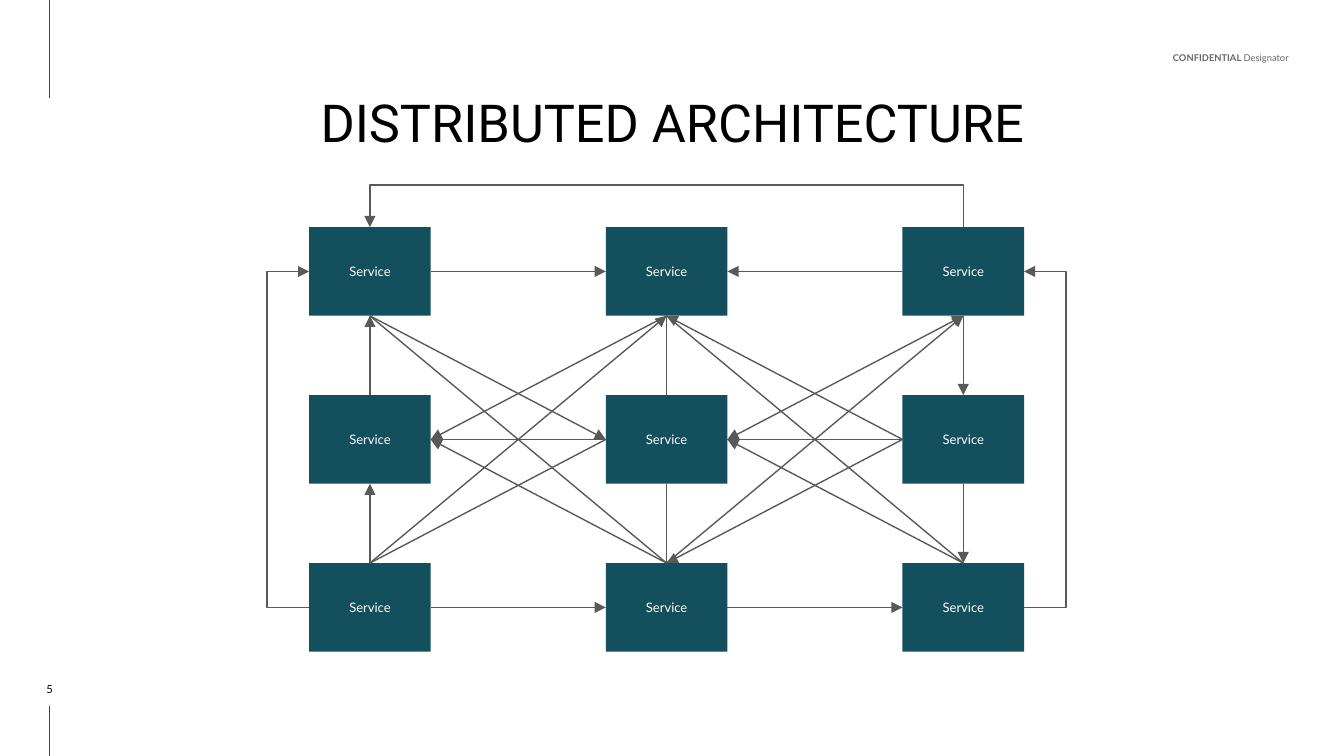
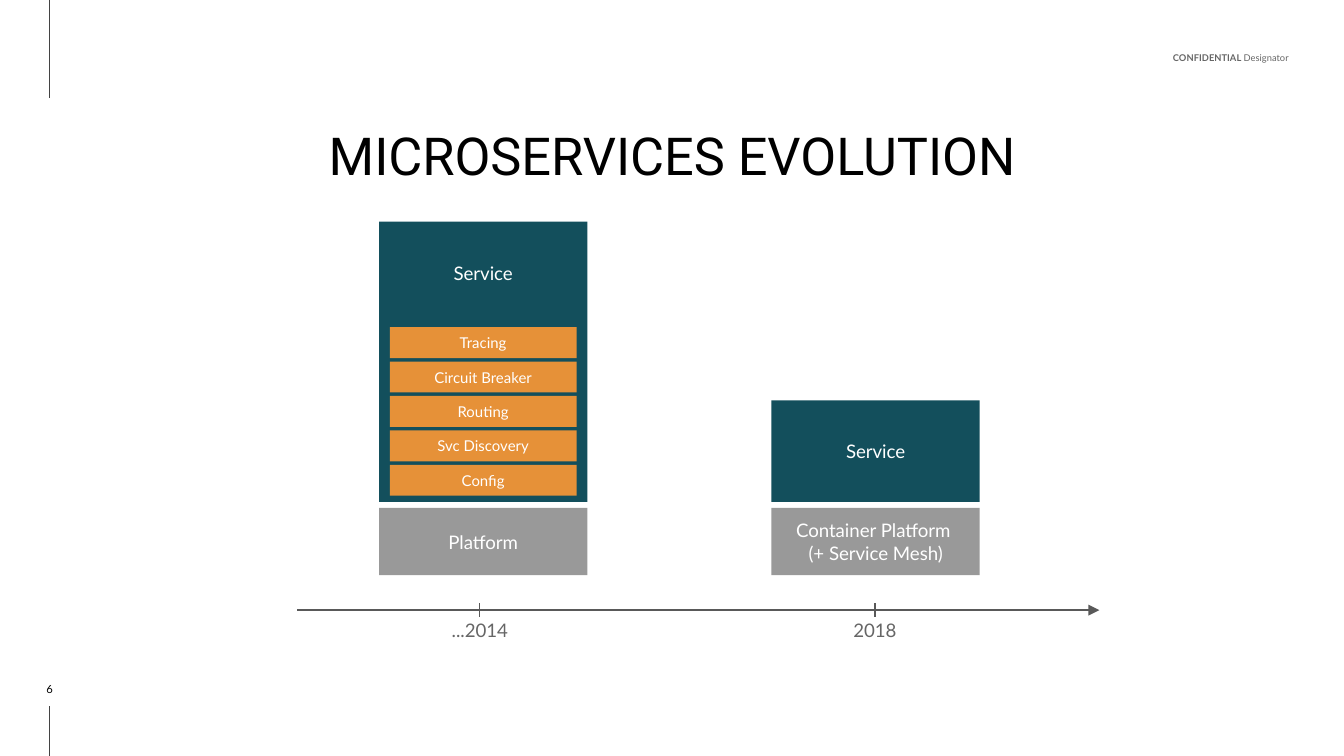
import collections

import lxml.etree
import pptx
import pptx.dml.color
import pptx.enum.shapes
import pptx.enum.text
import pptx.oxml.ns
import pptx.util

TEAL = pptx.dml.color.RGBColor(0x13, 0x4F, 0x5C)
ORANGE = pptx.dml.color.RGBColor(0xE6, 0x91, 0x38)
GRAY = pptx.dml.color.RGBColor(0x99, 0x99, 0x99)
LINE_GRAY = pptx.dml.color.RGBColor(0x59, 0x59, 0x59)
MARGIN_GRAY = pptx.dml.color.RGBColor(0x43, 0x43, 0x43)
TEXT_GRAY = pptx.dml.color.RGBColor(0x66, 0x66, 0x66)
BLACK = pptx.dml.color.RGBColor(0, 0, 0)
WHITE = pptx.dml.color.RGBColor(0xFF, 0xFF, 0xFF)

BODY_FONT = "Lato"
TITLE_FONT = "Roboto"
SLIDE_WIDTH = pptx.util.Inches(10)
COLUMNS = 100
ROWS = 56.25
CELL = SLIDE_WIDTH // COLUMNS

ANCHOR = pptx.enum.text.MSO_ANCHOR
ALIGN = pptx.enum.text.PP_ALIGN
CONNECTOR = pptx.enum.shapes.MSO_CONNECTOR

TOP, LEFT, BOTTOM, RIGHT = range(4)
HEAD = ("headEnd",)
TAIL = ("tailEnd",)
BOTH = HEAD + TAIL

Box = collections.namedtuple("Box", "left top width height")

ROUTES = [
    (1, BOTTOM, 4, TOP, ()),
    (4, LEFT, 3, RIGHT, ()),
    (4, RIGHT, 5, LEFT, ()),
    (4, BOTTOM, 7, TOP, ()),
    (0, BOTTOM, 3, TOP, HEAD),
    (0, RIGHT, 1, LEFT, TAIL),
    (1, RIGHT, 2, LEFT, HEAD),
    (2, BOTTOM, 5, TOP, TAIL),
    (5, BOTTOM, 8, TOP, TAIL),
    (3, BOTTOM, 6, TOP, HEAD),
    (6, RIGHT, 7, LEFT, TAIL),
    (7, RIGHT, 8, LEFT, TAIL),
    (6, TOP, 4, LEFT, ()),
    (4, LEFT, 0, BOTTOM, HEAD),
    (4, RIGHT, 2, BOTTOM, BOTH),
    (4, RIGHT, 8, TOP, HEAD),
    (7, TOP, 2, BOTTOM, TAIL),
    (7, TOP, 0, BOTTOM, ()),
    (1, BOTTOM, 6, TOP, HEAD),
    (1, BOTTOM, 8, TOP, ()),
    (5, LEFT, 7, TOP, TAIL),
    (7, TOP, 3, RIGHT, TAIL),
    (3, RIGHT, 1, BOTTOM, HEAD),
    (1, BOTTOM, 5, LEFT, HEAD),
]

LOOPS = [
    (0, 2, TOP, HEAD, {"rot": "16200000", "flipH": "1"}),
    (6, 0, LEFT, TAIL, {"rot": "10800000", "flipH": "1"}),
    (2, 8, RIGHT, HEAD, {}),
]


def cells(*lengths):
    return [pptx.util.Emu(round(length * CELL)) for length in lengths]


def write(shape, text, size, color, font=BODY_FONT, align=ALIGN.CENTER,
          anchor=ANCHOR.MIDDLE, spacing=None, inset=1):
    frame = shape.text_frame
    frame.word_wrap = True
    frame.vertical_anchor = anchor
    margin, = cells(inset)
    frame.margin_left = frame.margin_right = margin
    frame.margin_top = frame.margin_bottom = margin
    frame.text = text
    paragraph = frame.paragraphs[0]
    paragraph.alignment = align
    paragraph.line_spacing = spacing
    paragraph.font.size = pptx.util.Pt(size)
    paragraph.font.name = font
    paragraph.font.color.rgb = color
    return paragraph


def add_text(slide, box, text, size, color, **style):
    return write(slide.shapes.add_textbox(*cells(*box)), text, size, color, **style)


def add_block(slide, box, text, fill, size, **style):
    shape = slide.shapes.add_shape(
        pptx.enum.shapes.MSO_SHAPE.RECTANGLE, *cells(*box))
    shape.shadow.inherit = False
    shape.fill.solid()
    shape.fill.fore_color.rgb = fill
    shape.line.fill.background()
    write(shape, text, size, WHITE, **style)
    return shape


def add_line(slide, ends=(0, 0, 0, 0), color=LINE_GRAY, arrows=(),
             kind=CONNECTOR.STRAIGHT):
    connector = slide.shapes.add_connector(kind, *cells(*ends))
    connector.line.color.rgb = color
    connector.line.width = pptx.util.Pt(0.75)
    line = connector.line._get_or_add_ln()
    for arrow in arrows:
        lxml.etree.SubElement(line, pptx.oxml.ns.qn("a:" + arrow), type="triangle")
    lxml.etree.SubElement(connector._element.spPr, pptx.oxml.ns.qn("a:effectLst"))
    return connector


def add_loop(slide, services, start, end, side, arrows, turn):
    connector = add_line(slide, arrows=arrows, kind=CONNECTOR.ELBOW)
    connector.begin_connect(services[start], side)
    connector.end_connect(services[end], side)
    center_x = (connector.begin_x + connector.end_x) // 2
    center_y = (connector.begin_y + connector.end_y) // 2
    span = max(connector.width, connector.height)
    thickness = 600
    reach, = cells(2.6)
    properties = connector._element.spPr
    transform = properties.find(pptx.oxml.ns.qn("a:xfrm"))
    for name in ("rot", "flipH", "flipV"):
        transform.attrib.pop(name, None)
    transform.attrib.update(turn)
    connector.left = center_x - thickness // 2
    connector.top = center_y - span // 2
    connector.width, connector.height = thickness, span
    sign = 1 if side == RIGHT else -1
    adjustments = properties.find(".//" + pptx.oxml.ns.qn("a:avLst"))
    lxml.etree.SubElement(adjustments, pptx.oxml.ns.qn("a:gd"), name="adj1",
                          fmla=f"val {sign * reach * 100000 // thickness}")


def add_base(presentation, number, title, title_top):
    slide = presentation.slides.add_slide(presentation.slide_layouts[6])
    add_line(slide, (3.7, 7.3, 3.7, 0), MARGIN_GRAY)
    add_line(slide, (3.7, ROWS, 3.7, 52.5), MARGIN_GRAY)
    notice = add_text(slide, Box(82.6, 2.2, 13.3, 2.5), "CONFIDENTIAL ", 5, TEXT_GRAY,
                      align=ALIGN.RIGHT, anchor=ANCHOR.BOTTOM, spacing=1.5, inset=0)
    notice.runs[0].font.bold = True
    notice.add_run().text = "Designator"
    add_text(slide, Box(14.4, title_top, 71.2, 7.9), title, 28, BLACK,
             font=TITLE_FONT, anchor=ANCHOR.TOP, spacing=1.3, inset=0)
    add_text(slide, Box(0.7, 50.6, 6, 1.2), str(number), 6, BLACK,
             anchor=ANCHOR.BOTTOM, inset=0)
    return slide


def add_service_mesh(slide, box):
    width, height = 9.05, 6.6
    step_x = (box.width - width) / 2
    step_y = (box.height - height) / 2
    services = [
        add_block(slide, Box(box.left + column * step_x, box.top + row * step_y,
                             width, height), "Service", TEAL, 7)
        for row in range(3) for column in range(3)
    ]
    for start, start_side, end, end_side, arrows in ROUTES:
        connector = add_line(slide, arrows=arrows)
        connector.begin_connect(services[start], start_side)
        connector.end_connect(services[end], end_side)
    for loop in LOOPS:
        add_loop(slide, services, *loop)


def add_stack(slide, box, platform, features=()):
    platform_height, gap = 5, 0.45
    service = Box(box.left, box.top, box.width, box.height - platform_height - gap)
    shape = add_block(slide, service, "Service", TEAL, 10,
                      anchor=ANCHOR.TOP if features else ANCHOR.MIDDLE)
    if features:
        shape.text_frame.margin_top, = cells(3)
    for index, feature in enumerate(features):
        add_block(slide, Box(box.left + 0.8, box.top + 7.85 + index * 2.56,
                             box.width - 1.6, 2.3), feature, ORANGE, 8)
    add_block(slide, Box(box.left, box.top + box.height - platform_height,
                         box.width, platform_height), platform, GRAY, 10)


def add_timeline(slide, box, dates):
    middle = box.top + 0.5
    add_line(slide, (box.left, middle, box.left + box.width, middle), arrows=TAIL)
    for offset, label in dates:
        x = box.left + offset
        add_line(slide, (x, box.top, x, box.top + 1))
        add_text(slide, Box(x - 4.95, box.top + 0.3, 9.9, 3.4), label, 10, TEXT_GRAY,
                 anchor=ANCHOR.TOP)


def main():
    presentation = pptx.Presentation()
    presentation.slide_width = SLIDE_WIDTH
    presentation.slide_height, = cells(ROWS)

    slide = add_base(presentation, 5, "DISTRIBUTED ARCHITECTURE", 5.3)
    add_service_mesh(slide, Box(23, 16.9, 53.2, 31.6))

    slide = add_base(presentation, 6, "MICROSERVICES EVOLUTION", 7.8)
    add_stack(slide, Box(28.2, 16.5, 15.5, 26.3), "Platform",
              ("Tracing", "Circuit Breaker", "Routing", "Svc Discovery", "Config"))
    add_stack(slide, Box(57.4, 29.8, 15.5, 13),
              "Container Platform \v(+ Service Mesh)")
    add_timeline(slide, Box(22.1, 44.9, 59.7, 3.7), ((13.6, "...2014"), (43, "2018")))

    presentation.save("out.pptx")


if __name__ == "__main__":
    main()
